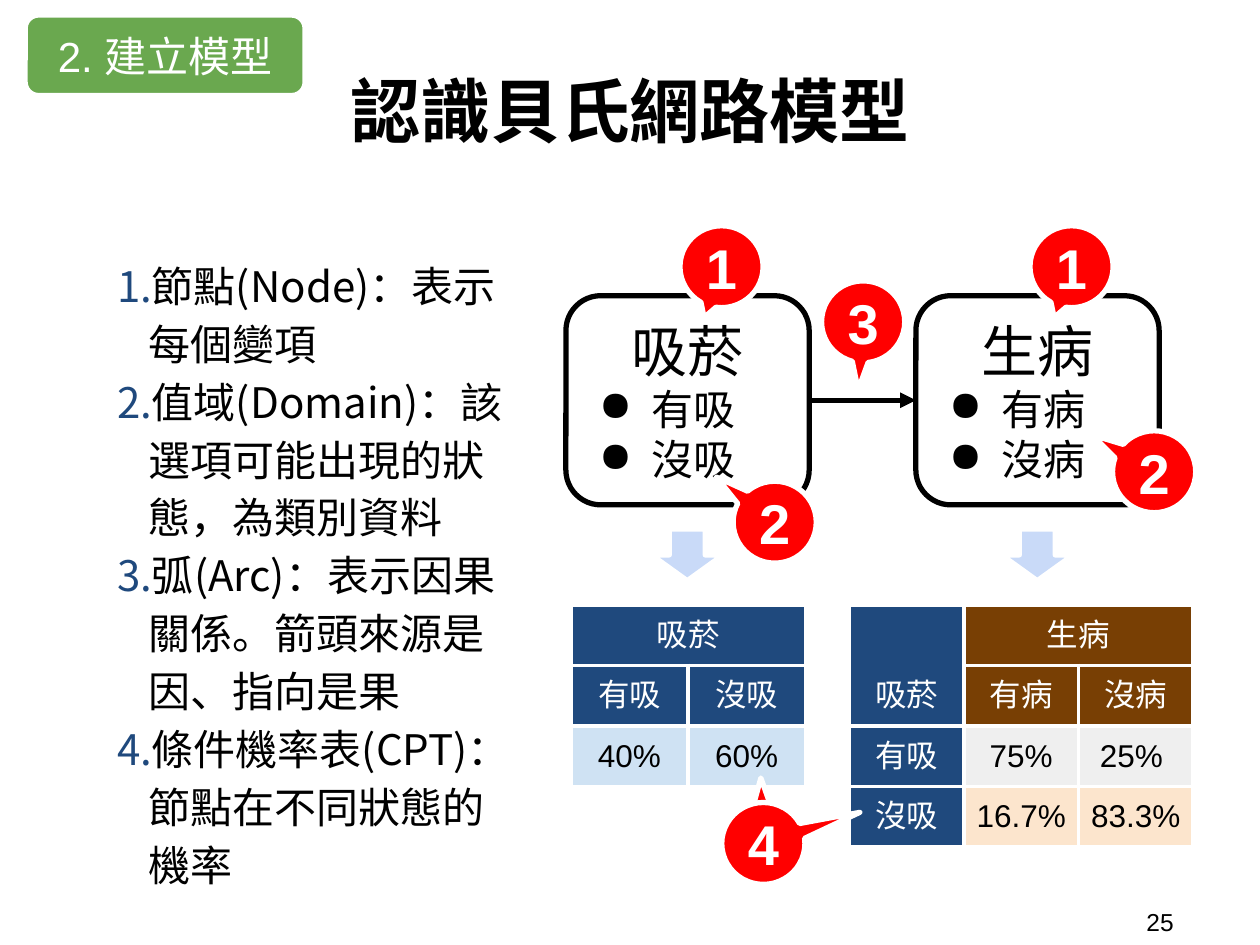
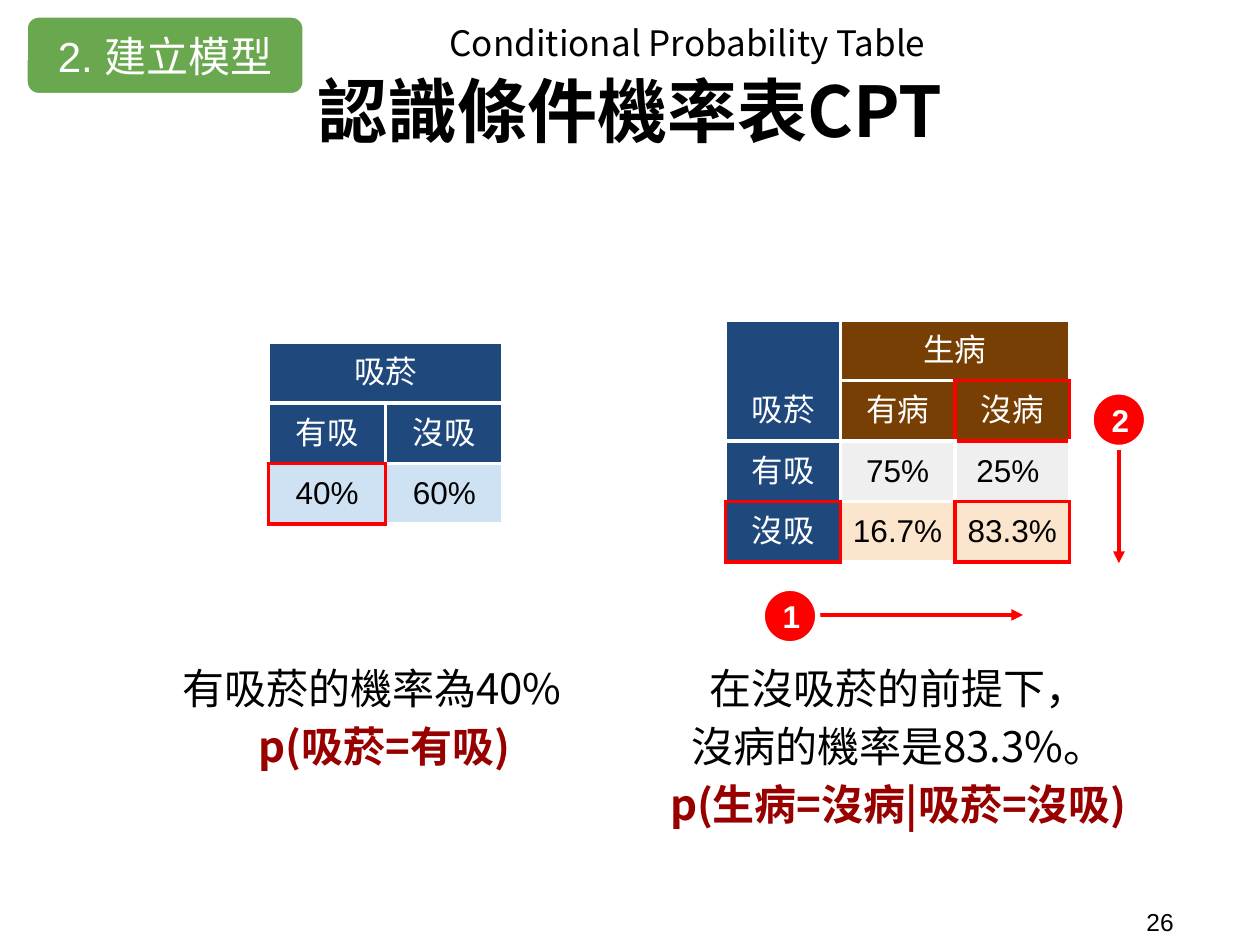
from collections import namedtuple

from lxml.etree import SubElement
from pptx import Presentation
from pptx.dml.color import RGBColor
from pptx.enum.shapes import MSO_CONNECTOR, MSO_SHAPE as SHAPE
from pptx.enum.text import MSO_ANCHOR as ANCHOR, MSO_AUTO_SIZE, PP_ALIGN as ALIGN
from pptx.oxml.ns import qn
from pptx.util import Pt

WHITE = RGBColor(0xFF, 0xFF, 0xFF)
BLACK = RGBColor(0x00, 0x00, 0x00)
RED = RGBColor(0xFF, 0x00, 0x00)
DARK_RED = RGBColor(0x98, 0x00, 0x00)
GREEN = RGBColor(0x6A, 0xA8, 0x4F)
NAVY = RGBColor(0x1F, 0x49, 0x7D)
BROWN = RGBColor(0x78, 0x3F, 0x04)
PALE_BLUE = RGBColor(0xCF, 0xE2, 0xF3)
ARROW_BLUE = RGBColor(0xC9, 0xDA, 0xF8)
PALE_GREY = RGBColor(0xEF, 0xEF, 0xEF)
PEACH = RGBColor(0xFC, 0xE5, 0xCD)

ARIAL = "Arial"
NOTO = "Noto Sans CJK TC"
INSET = 7.2
BORDER = 2.25
OUTLINE = 3
NODE_STEP = 200  # distance from the cause node to the effect node

# rows hold (text, fill); None marks a cell covered by a merge
Cpt = namedtuple("Cpt", "rows merges column_width row_heights")
SMOKING_CPT = Cpt(
    rows=[[("吸菸", NAVY), None],
          [("有吸", NAVY), ("沒吸", NAVY)],
          [("40%", PALE_BLUE), ("60%", PALE_BLUE)]],
    merges=[((0, 0), (0, 1))],
    column_width=67,
    row_heights=[25, 25, 27.5])
ILLNESS_CPT = Cpt(
    rows=[[("吸菸", NAVY), ("生病", BROWN), None],
          [None, ("有病", BROWN), ("沒病", BROWN)],
          [("有吸", NAVY), ("75%", PALE_GREY), ("25% ", PALE_GREY)],
          [("沒吸", NAVY), ("16.7%", PEACH), ("83.3%", PEACH)]],
    merges=[((0, 0), (1, 0)), ((0, 1), (0, 2))],
    column_width=65.5,
    row_heights=[31.5] * 4)


def points(*lengths):
    return [Pt(length) for length in lengths]


def prepare_frame(frame, anchor=ANCHOR.MIDDLE, inset_y=INSET):
    frame.word_wrap = True
    frame.auto_size = MSO_AUTO_SIZE.NONE
    frame.vertical_anchor = anchor
    frame.margin_left = frame.margin_right = Pt(INSET)
    frame.margin_top = frame.margin_bottom = Pt(inset_y)
    return frame


def write(frame, text, size, color=BLACK, font=ARIAL, bold=False,
          align=ALIGN.CENTER, spacing=None):
    """Fill the empty first paragraph or add one; each newline is a line break."""
    paragraph = frame.paragraphs[-1]
    if paragraph.runs:
        paragraph = frame.add_paragraph()
    paragraph.alignment = align
    if spacing:
        paragraph.line_spacing = spacing
    for index, line in enumerate(text.split("\n")):
        if index:
            paragraph.add_line_break()
        run = paragraph.add_run()
        run.text = line
        run.font.size = Pt(size)
        run.font.bold = bold
        run.font.color.rgb = color
        run.font.name = font
        SubElement(run.font._element, qn("a:ea"), typeface=font)
    return paragraph


def indent(paragraph, left, first):
    properties = paragraph._p.get_or_add_pPr()
    properties.set("marL", str(Pt(left)))
    properties.set("indent", str(Pt(first)))
    return properties


def add_bullet(paragraph, first, color, tag, **attributes):
    properties = indent(paragraph, 36, first)
    bullet_color = SubElement(properties, qn("a:buClr"))
    SubElement(bullet_color, qn("a:srgbClr"), val=str(color))
    SubElement(properties, qn(tag), **attributes)


def add_text_box(slide, box, anchor=ANCHOR.MIDDLE, inset_y=INSET):
    frame = slide.shapes.add_textbox(*points(*box)).text_frame
    return prepare_frame(frame, anchor, inset_y)


def add_outlined_shape(slide, preset, box, fill, line=WHITE):
    shape = slide.shapes.add_shape(preset, *points(*box))
    shape.shadow.inherit = False
    shape.fill.solid()
    shape.fill.fore_color.rgb = fill
    shape.line.color.rgb = line
    shape.line.width = Pt(OUTLINE)
    prepare_frame(shape.text_frame)
    return shape


def add_arrow(slide, start, end, color, width):
    arrow = slide.shapes.add_connector(
        MSO_CONNECTOR.STRAIGHT, *points(*start, *end))
    arrow.line.color.rgb = color
    arrow.line.width = Pt(width)
    SubElement(arrow.line._get_or_add_ln(), qn("a:tailEnd"), type="triangle")
    SubElement(arrow._element.spPr, qn("a:effectLst"))
    return arrow


def add_node(slide, left, variable, states):
    node = add_outlined_shape(slide, SHAPE.ROUNDED_RECTANGLE,
                              (left, 169, 139, 119.5), WHITE, BLACK)
    write(node.text_frame, variable, 32)
    for state in states:
        line = write(node.text_frame, state, 24, align=ALIGN.LEFT)
        add_bullet(line, -30, BLACK, "a:buChar", char="●")
    return node


def add_callout(slide, number, left, top, tip):
    callout = add_outlined_shape(slide, SHAPE.OVAL_CALLOUT,
                                 (left, top, 47.5, 46.8), RED)
    callout.adjustments[0], callout.adjustments[1] = tip
    write(callout.text_frame, number, 32, WHITE, bold=True)


def add_step(slide, number, left, top):
    step = add_outlined_shape(slide, SHAPE.OVAL, (left, top, 31.7, 31.7), RED)
    write(step.text_frame, number, 18, WHITE, bold=True)


def set_borders(cell, colors):
    """Put the left, right, top and bottom lines ahead of the cell's fill."""
    properties = cell._tc.get_or_add_tcPr()
    for index, (side, color) in enumerate(zip("LRTB", colors)):
        line = SubElement(properties, qn("a:ln" + side), w=str(Pt(BORDER)))
        solid = SubElement(line, qn("a:solidFill"))
        SubElement(solid, qn("a:srgbClr"), val=str(color))
        properties.insert(index, line)


def add_cpt(slide, cpt, left, top, highlights=()):
    """Draw a probability table; highlighted (row, column) cells get red edges."""
    row_count, column_count = len(cpt.rows), len(cpt.rows[0])
    table = slide.shapes.add_table(
        row_count, column_count,
        *points(left, top, cpt.column_width * column_count,
                sum(cpt.row_heights))).table
    table.first_row = table.horz_banding = False
    for column in table.columns:
        column.width = Pt(cpt.column_width)
    for row, height in zip(table.rows, cpt.row_heights):
        row.height = Pt(height)
    for first, last in cpt.merges:
        table.cell(*first).merge(table.cell(*last))

    for r, row in enumerate(cpt.rows):
        for c, content in enumerate(row):
            cell = table.cell(r, c)
            if content:
                text, fill = content
                cell.fill.solid()
                cell.fill.fore_color.rgb = fill
                cell.margin_left = cell.margin_right = Pt(INSET)
                cell.margin_top = cell.margin_bottom = Pt(INSET)
                if cell.is_merge_origin and cell.span_height > 1:
                    cell.vertical_anchor = ANCHOR.BOTTOM
                else:
                    cell.vertical_anchor = ANCHOR.MIDDLE if r < 2 else ANCHOR.TOP
                color = WHITE if fill in (NAVY, BROWN) else BLACK
                write(cell.text_frame, text, 18, color)
            neighbours = [(r, c - 1), (r, c + 1), (r - 1, c), (r + 1, c)]
            set_borders(cell, [
                RED if (r, c) in highlights or neighbour in highlights else WHITE
                for neighbour in neighbours])


def start_slide(deck, title, page):
    slide = deck.slides.add_slide(deck.slide_layouts[5])
    heading = slide.shapes.title
    heading.left, heading.top, heading.width, heading.height = points(
        37.5, 13.5, 645, 98)
    write(prepare_frame(heading.text_frame), title, 40, font=NOTO, bold=True)
    number = add_text_box(slide, (648, 516.2, 66.2, 20.9), inset_y=3.6)
    write(number, page, 14, align=ALIGN.LEFT)
    section = add_outlined_shape(slide, SHAPE.ROUNDED_RECTANGLE,
                                 (14.4, 8.6, 160, 46), GREEN)
    write(section.text_frame, "2. 建立模型", 24, WHITE)
    return slide


def build_network_slide(deck):
    slide = start_slide(deck, "認識貝氏網路模型", "25")
    terms = add_text_box(slide, (41.8, 141, 258.5, 371))
    for term in ("節點(Node)：表示每個變項",
                 "值域(Domain)：該選項可能出現的狀態，為類別資料",
                 "弧(Arc)：表示因果關係。箭頭來源是因、指向是果",
                 "條件機率表(CPT)：節點在不同狀態的機率"):
        line = write(terms, term, 24, font=NOTO, align=ALIGN.LEFT, spacing=1.15)
        add_bullet(line, -18, NAVY, "a:buAutoNum", type="arabicPeriod")

    add_cpt(slide, SMOKING_CPT, 326.2, 345.6)
    add_cpt(slide, ILLNESS_CPT, 485.3, 345.6)

    nodes = []
    for index, (variable, states) in enumerate(
            [("吸菸", ("有吸", "沒吸")), ("生病", ("有病", "沒病"))]):
        shift = index * NODE_STEP
        nodes.append(add_node(slide, 323.4 + shift, variable, states))
        pointer = add_outlined_shape(slide, SHAPE.LEFT_ARROW,
                                     (378 + shift, 296.6, 29.5, 41), ARROW_BLUE)
        pointer.rotation = 270
        add_callout(slide, "1", 388.6 + shift, 129, (-0.21, 0.62))

    cause, effect = nodes
    arc = add_arrow(slide, (462.4, 228.75), (523.4, 228.75), BLACK, OUTLINE)
    arc.begin_connect(cause, 3)
    arc.end_connect(effect, 1)

    for number, left, top, tip in [
            ("2", 419, 275, (-0.7, -0.55)),
            ("2", 635.8, 246.2, (-0.75, -0.45)),
            ("3", 469.5, 160.5, (-0.06, 0.83)),
            ("4", 412.5, 458.6, (-0.03, -0.8)),
            ("4", 412.5, 458.6, (1.16, -0.38))]:
        add_callout(slide, number, left, top, tip)


def add_reading(slide, left, width, sentence, align, formula):
    """Explain a probability in words, then as a formula."""
    frame = add_text_box(slide, (left, 367, width, 144.7), ANCHOR.TOP)
    write(frame, sentence, 24, font=NOTO, align=align, spacing=1.15)
    line = write(frame, formula, 24, DARK_RED, NOTO, bold=True, spacing=1.15)
    indent(line, 0, -6)


def build_cpt_slide(deck):
    slide = start_slide(deck, "認識條件機率表CPT", "26")
    full_name = add_text_box(slide, (203, 8.6, 380, 31.7))
    write(full_name, "Conditional Probability Table", 20, font=NOTO)

    add_cpt(slide, SMOKING_CPT, 153.4, 195.8, highlights=[(2, 0)])
    add_cpt(slide, ILLNESS_CPT, 414.7, 182.9,
            highlights=[(1, 2), (3, 0), (3, 2)])
    add_reading(slide, 97, 245.5, "有吸菸的機率為40%", ALIGN.LEFT, "p(吸菸=有吸)")
    add_reading(slide, 366.5, 293.8, "在沒吸菸的前提下，\n沒病的機率是83.3%。",
                ALIGN.CENTER, "p(生病=沒病|吸菸=沒吸)")

    add_arrow(slide, (467.3, 351.4), (584.6, 351.4), RED, BORDER)
    add_step(slide, "1", 435.6, 336.2)
    add_arrow(slide, (639.4, 255), (639.4, 321.8), RED, BORDER)
    add_step(slide, "2", 623.5, 224)


def main():
    deck = Presentation()
    deck.slide_width, deck.slide_height = points(720, 540)
    build_network_slide(deck)
    build_cpt_slide(deck)
    deck.save("out.pptx")


if __name__ == "__main__":
    main()
